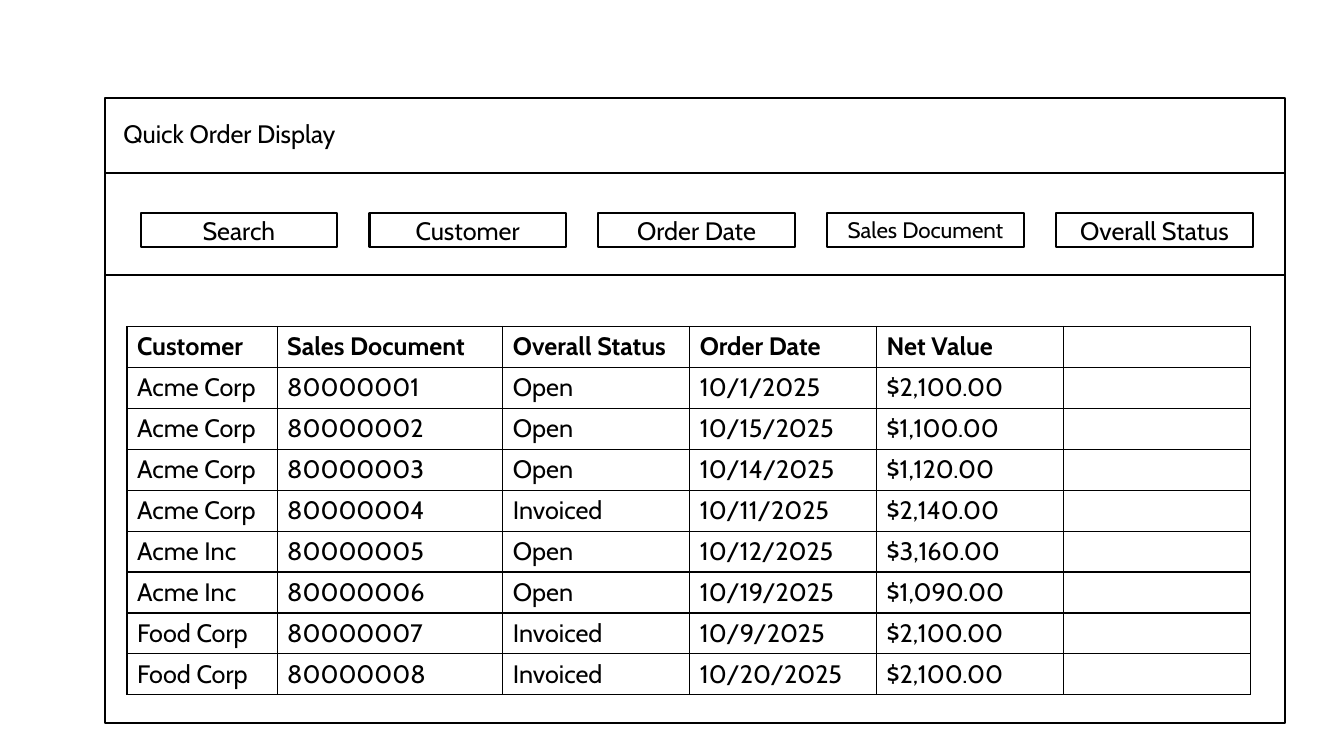
"""Build the wireframe slide of a quick order display with filters and an order table."""
from dataclasses import dataclass

from lxml import etree
from pptx import Presentation, util as u
from pptx.dml.color import RGBColor
from pptx.enum import shapes, text
from pptx.oxml import ns

PX = 9525


@dataclass(frozen=True)
class Theme:
    ink: RGBColor = RGBColor(0, 0, 0)
    paper: RGBColor = RGBColor(255, 255, 255)
    font: str = "Cabin"
    body: int = 18
    small: int = 16
    outline: float = 1.5
    grid: int = 1


@dataclass(frozen=True)
class Box:
    left: int
    top: int
    width: int
    height: int

    def emu(self) -> tuple[int, int, int, int]:
        return self.left * PX, self.top * PX, self.width * PX, self.height * PX


@dataclass(frozen=True)
class Filter:
    label: str
    size: int


THEME = Theme()
FRAME = Box(100, 93, 1124, 596)
HEADING = Box(108, 108, 228, 38)
DIVIDERS = (165, 262)
FIRST_FILTER = Box(134, 203, 187, 32)
FILTER_PITCH = 218
FILTERS = (
    Filter("Search", THEME.body),
    Filter("Customer", THEME.body),
    Filter("Order Date", THEME.body),
    Filter("Sales Document", THEME.small),
    Filter("Overall Status", THEME.body),
)
COLUMNS = (143, 215, 178, 178, 178, 178)
ROW_HEIGHT = 39
ORDERS = (
    ("Customer", "Sales Document", "Overall Status", "Order Date", "Net Value", ""),
    ("Acme Corp", "80000001", "Open", "10/1/2025", "$2,100.00", ""),
    ("Acme Corp", "80000002", "Open", "10/15/2025", "$1,100.00", ""),
    ("Acme Corp", "80000003", "Open", "10/14/2025", "$1,120.00", ""),
    ("Acme Corp", "80000004", "Invoiced", "10/11/2025", "$2,140.00", ""),
    ("Acme Inc", "80000005", "Open", "10/12/2025", "$3,160.00", ""),
    ("Acme Inc", "80000006", "Open", "10/19/2025", "$1,090.00", ""),
    ("Food Corp", "80000007", "Invoiced", "10/9/2025", "$2,100.00", ""),
    ("Food Corp", "80000008", "Invoiced", "10/20/2025", "$2,100.00", ""),
)
ORDER_TABLE = Box(121, 311, sum(COLUMNS), ROW_HEIGHT * len(ORDERS))


def write(frame, wording: str, size: int, align=text.PP_ALIGN.LEFT, bold: bool = False) -> None:
    frame.text = wording
    paragraph = frame.paragraphs[0]
    paragraph.alignment = align
    paragraph.font.name = THEME.font
    paragraph.font.size = u.Pt(size)
    paragraph.font.bold = bold
    paragraph.font.color.rgb = THEME.ink


def add_panel(slide, box: Box):
    panel = slide.shapes.add_shape(shapes.MSO_SHAPE.RECTANGLE, *box.emu())
    panel.shadow.inherit = False
    panel.fill.solid()
    panel.fill.fore_color.rgb = THEME.paper
    panel.line.color.rgb = THEME.ink
    panel.line.width = u.Pt(THEME.outline)
    return panel


def add_heading(slide, window) -> None:
    heading = slide.shapes.title
    heading.left, heading.top, heading.width, heading.height = HEADING.emu()
    write(heading.text_frame, "Quick Order Display", THEME.body)
    heading.text_frame.word_wrap = False
    heading.text_frame.auto_size = text.MSO_AUTO_SIZE.NONE
    heading.text_frame.vertical_anchor = text.MSO_ANCHOR.TOP
    window._element.addnext(heading._element)


def add_divider(slide, y: int) -> None:
    divider = slide.shapes.add_connector(
        shapes.MSO_CONNECTOR.STRAIGHT,
        FRAME.left * PX, y * PX, (FRAME.left + FRAME.width) * PX, y * PX,
    )
    divider.line.color.rgb = THEME.ink
    divider.line.width = u.Pt(THEME.outline)
    etree.SubElement(divider._element.spPr, ns.qn("a:effectLst"))


def add_filter(slide, index: int, choice: Filter) -> None:
    left = FIRST_FILTER.left + index * FILTER_PITCH
    button = add_panel(slide, Box(left, FIRST_FILTER.top, FIRST_FILTER.width, FIRST_FILTER.height))
    write(button.text_frame, choice.label, choice.size, text.PP_ALIGN.CENTER)
    button.text_frame.vertical_anchor = text.MSO_ANCHOR.MIDDLE


def add_borders(cell) -> None:
    properties = cell._tc.get_or_add_tcPr()
    for side in ("lnL", "lnR", "lnT", "lnB"):
        border = etree.SubElement(properties, ns.qn(f"a:{side}"), w=str(u.Pt(THEME.grid)))
        ink = etree.SubElement(border, ns.qn("a:solidFill"))
        etree.SubElement(ink, ns.qn("a:srgbClr"), val=str(THEME.ink))


def add_orders(slide) -> None:
    orders = slide.shapes.add_table(len(ORDERS), len(COLUMNS), *ORDER_TABLE.emu()).table
    orders.first_row = False
    orders.horz_banding = False
    for column, width in zip(orders.columns, COLUMNS):
        column.width = width * PX
    for row_index, order in enumerate(ORDERS):
        orders.rows[row_index].height = ROW_HEIGHT * PX
        for column_index, value in enumerate(order):
            cell = orders.cell(row_index, column_index)
            write(cell.text_frame, value, THEME.body, bold=row_index == 0)
            add_borders(cell)
            cell.fill.background()


def main() -> None:
    deck = Presentation()
    deck.slide_width, deck.slide_height = 1280 * PX, 720 * PX
    slide = deck.slides.add_slide(deck.slide_layouts[5])
    window = add_panel(slide, FRAME)
    add_heading(slide, window)
    for y in DIVIDERS:
        add_divider(slide, y)
    for index, choice in enumerate(FILTERS):
        add_filter(slide, index, choice)
    add_orders(slide)
    deck.save("out.pptx")


if __name__ == "__main__":
    main()
